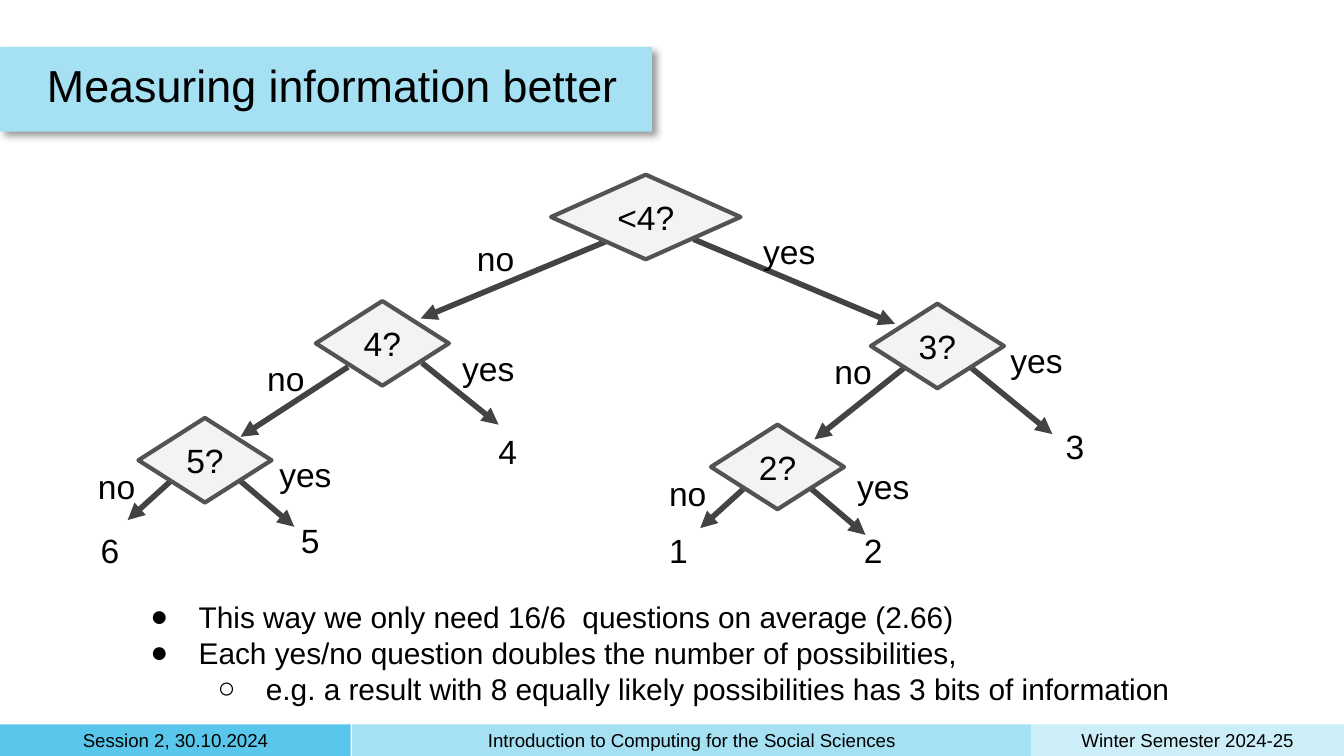
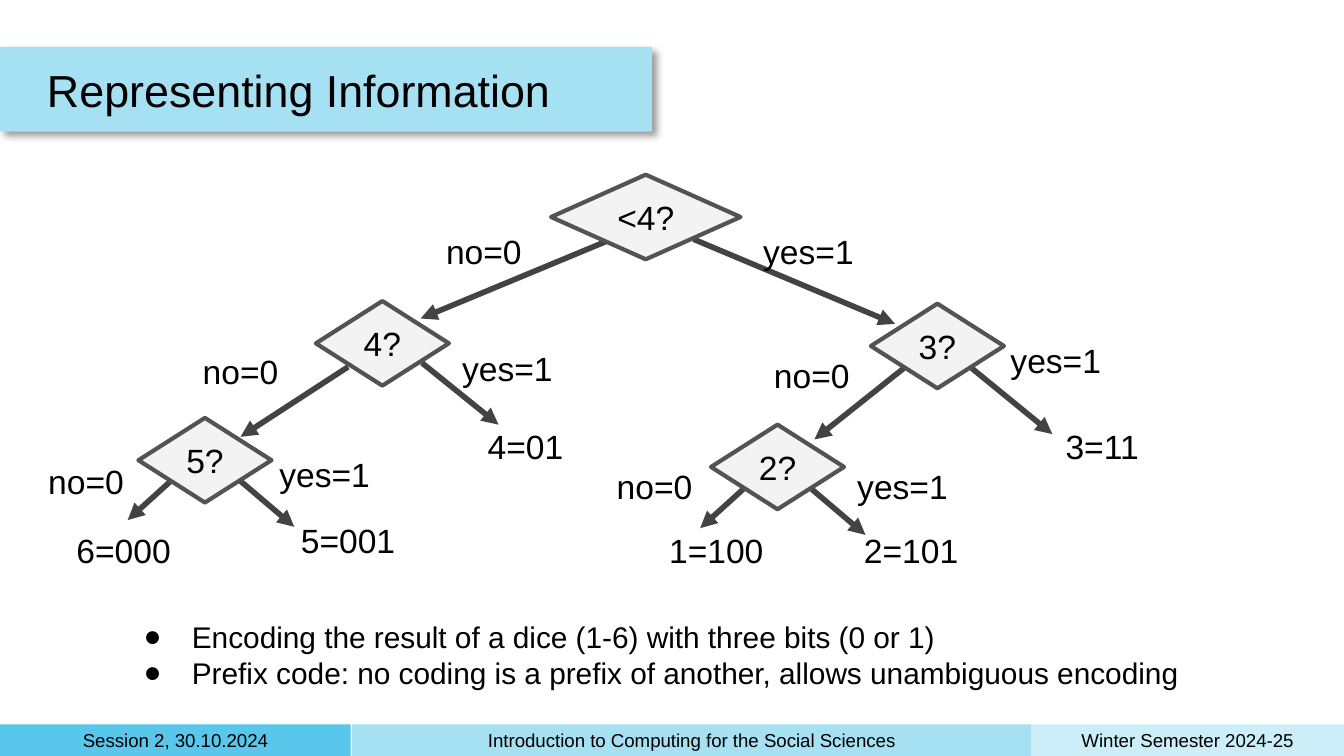
import pptx
import pptx.dml.color
import pptx.enum.shapes
import pptx.enum.text
import pptx.oxml
import pptx.oxml.ns
import pptx.util
from lxml import etree

PX = 9144
FONT = "Arial"
COLORS = {
    "text": "000000",
    "band": "A5E0F3",
    "session": "59C7EB",
    "semester": "CCEEF9",
    "node": "F3F3F3",
    "outline": "535353",
    "arrow": "434343",
}
ALIGN = pptx.enum.text.PP_ALIGN
ANCHOR = pptx.enum.text.MSO_ANCHOR
SHAPES = pptx.enum.shapes.MSO_SHAPE

FOOTER = [
    ("Winter Semester 2024-25", 767, 233, "semester"),
    ("Session 2, 30.10.2024", 0, 261, "session"),
    ("Introduction to Computing for the Social Sciences", 262, 505, "band"),
]
QUESTIONS = [
    ("<4?", 410, 130, 141),
    ("4?", 235, 224, 99),
    ("5?", 103, 311, 99),
    ("3?", 648, 226, 99),
    ("2?", 529, 316, 99),
]
BRANCHES = [
    (455, 178, 313, 237),
    (516, 178, 666, 241),
    (259, 273, 179, 325),
    (314, 270, 371, 316),
    (127, 358, 95, 387),
    (179, 358, 219, 392),
    (675, 272, 606, 327),
    (723, 274, 783, 323),
    (553, 364, 521, 393),
    (604, 364, 644, 398),
]
YES_SPOTS = [(558, 162), (334, 249), (198, 328), (742, 243), (628, 337)]

MEASURING = {
    "title": "Measuring information better",
    "title_spacing": 0.8,
    "no": "no",
    "no_width": 50,
    "no_spots": [(345, 167), (189, 256), (63, 337), (611, 251), (488, 342)],
    "yes": "yes",
    "yes_widths": [63] * 5,
    "results": [
        ("4", 361, 311, 63),
        ("5", 214, 377, 63),
        ("3", 783, 307, 63),
        ("2", 633, 384, 63),
        ("1", 488, 384, 63),
        ("6", 65, 384, 63),
    ],
    "points_area": (88, 435, 805, 101),
    "points": [
        (0, "This way we only need 16/6  questions on average (2.66)"),
        (0, "Each yes/no question doubles the number of possibilities,"),
        (1, "e.g. a result with 8 equally likely possibilities has 3 bits of information"),
    ],
}
REPRESENTING = {
    "title": "Representing Information",
    "title_spacing": None,
    "no": "no=0",
    "no_width": 88,
    "no_spots": [(322, 162), (141, 251), (26, 333), (566, 254), (449, 337)],
    "yes": "yes=1",
    "yes_widths": [88, 126, 99, 99, 88],
    "results": [
        ("4=01", 353, 307, 80),
        ("5=001", 214, 377, 99),
        ("3=11", 783, 307, 80),
        ("2=101", 633, 384, 91),
        ("1=100", 488, 384, 99),
        ("6=000", 47, 384, 99),
    ],
    "points_area": (83, 450, 833, 74),
    "points": [
        (0, "Encoding the result of a dice (1-6) with three bits (0 or 1)"),
        (0, "Prefix code: no coding is a prefix of another, allows unambiguous encoding"),
    ],
}


def px(*lengths):
    return [pptx.util.Emu(length * PX) for length in lengths]


def rgb(name):
    return pptx.dml.color.RGBColor.from_string(COLORS[name])


def format_text(frame, size, inset, align=ALIGN.LEFT, anchor=ANCHOR.TOP):
    frame.word_wrap = True
    frame.vertical_anchor = anchor
    margin = px(inset)[0]
    frame.margin_left = frame.margin_right = margin
    frame.margin_top = frame.margin_bottom = margin
    for paragraph in frame.paragraphs:
        paragraph.alignment = align
        for run in paragraph.runs:
            run.font.name = FONT
            run.font.size = pptx.util.Pt(size)
            run.font.color.rgb = rgb("text")


def add_text(slide, text, area, size, inset, align=ALIGN.LEFT, anchor=ANCHOR.TOP):
    frame = slide.shapes.add_textbox(*px(*area)).text_frame
    frame.text = text
    format_text(frame, size, inset, align, anchor)
    return frame


def add_label(slide, text, left, top, width):
    frame = add_text(slide, text, (left, top, width, 50), 18, 10)
    frame.auto_size = pptx.enum.text.MSO_AUTO_SIZE.SHAPE_TO_FIT_TEXT


def add_filled(slide, kind, area, fill):
    filled = slide.shapes.add_shape(kind, *px(*area))
    filled.shadow.inherit = False
    filled.fill.solid()
    filled.fill.fore_color.rgb = rgb(fill)
    filled.line.fill.background()
    return filled


def add_footer(slide):
    for text, left, width, fill in FOOTER:
        add_filled(slide, SHAPES.RECTANGLE, (left, 539, width, 24), fill)
        add_text(slide, text, (left + 5, 541, width - 10, 19), 10, 5,
                 ALIGN.CENTER, ANCHOR.MIDDLE)


def add_title(slide, text, spacing):
    band = add_filled(slide, SHAPES.RECTANGLE, (0, 35, 485, 63), "band")
    effects = band._element.spPr.find(pptx.oxml.ns.qn("a:effectLst"))
    effects.append(pptx.oxml.parse_xml(
        f'<a:outerShdw {pptx.oxml.ns.nsdecls("a")} blurRad="50800" dist="38100" '
        f'dir="2700000" algn="tl" rotWithShape="0"><a:srgbClr val="{COLORS["text"]}">'
        '<a:alpha val="40000"/></a:srgbClr></a:outerShdw>'))
    title = add_text(slide, text, (30, 35, 870, 63), 24, 5, anchor=ANCHOR.MIDDLE)
    title.paragraphs[0].line_spacing = spacing


def add_branch(slide, *ends):
    branch = slide.shapes.add_connector(
        pptx.enum.shapes.MSO_CONNECTOR.STRAIGHT, *px(*ends))
    branch.line.color.rgb = rgb("arrow")
    branch.line.width = pptx.util.Pt(3)
    qn = pptx.oxml.ns.qn
    etree.SubElement(branch.line._get_or_add_ln(), qn("a:tailEnd"), type="triangle")
    etree.SubElement(branch._element.spPr, qn("a:effectLst"))


def add_question(slide, text, left, top, width):
    question = add_filled(slide, SHAPES.DIAMOND, (left, top, width, 63), "node")
    question.line.color.rgb = rgb("outline")
    question.line.width = pptx.util.Pt(2.25)
    question.text_frame.text = text
    format_text(question.text_frame, 18, 10, ALIGN.CENTER, ANCHOR.MIDDLE)
    question.text_frame.word_wrap = False


def add_bullet(paragraph, level):
    qn = pptx.oxml.ns.qn
    paragraph.level = level
    properties = paragraph._p.get_or_add_pPr()
    properties.set("marL", str(50 * (level + 1) * PX))
    properties.set("indent", str(-36 * PX))
    color = etree.SubElement(properties, qn("a:buClr"))
    etree.SubElement(color, qn("a:srgbClr"), val=COLORS["text"])
    etree.SubElement(properties, qn("a:buFont"), typeface=FONT)
    etree.SubElement(properties, qn("a:buChar"), char="●○"[level])


def add_points(slide, area, points):
    frame = slide.shapes.add_textbox(*px(*area)).text_frame
    frame.text = "\n".join(text for _, text in points)
    for paragraph, (level, _) in zip(frame.paragraphs, points):
        add_bullet(paragraph, level)
    format_text(frame, 16, 10, anchor=ANCHOR.MIDDLE)
    frame.auto_size = pptx.enum.text.MSO_AUTO_SIZE.SHAPE_TO_FIT_TEXT


def add_tree(slide, content):
    for ends in BRANCHES:
        add_branch(slide, *ends)
    for question in QUESTIONS:
        add_question(slide, *question)
    for spot in content["no_spots"]:
        add_label(slide, content["no"], *spot, content["no_width"])
    for spot, width in zip(YES_SPOTS, content["yes_widths"]):
        add_label(slide, content["yes"], *spot, width)
    for result in content["results"]:
        add_label(slide, *result)


def main():
    deck = pptx.Presentation()
    deck.slide_width = px(1000)[0]
    deck.slide_height = deck.slide_width * 9 // 16
    for content in (MEASURING, REPRESENTING):
        slide = deck.slides.add_slide(deck.slide_layouts[6])
        add_footer(slide)
        add_tree(slide, content)
        add_points(slide, content["points_area"], content["points"])
        add_title(slide, content["title"], content["title_spacing"])
    deck.save("out.pptx")


if __name__ == "__main__":
    main()
